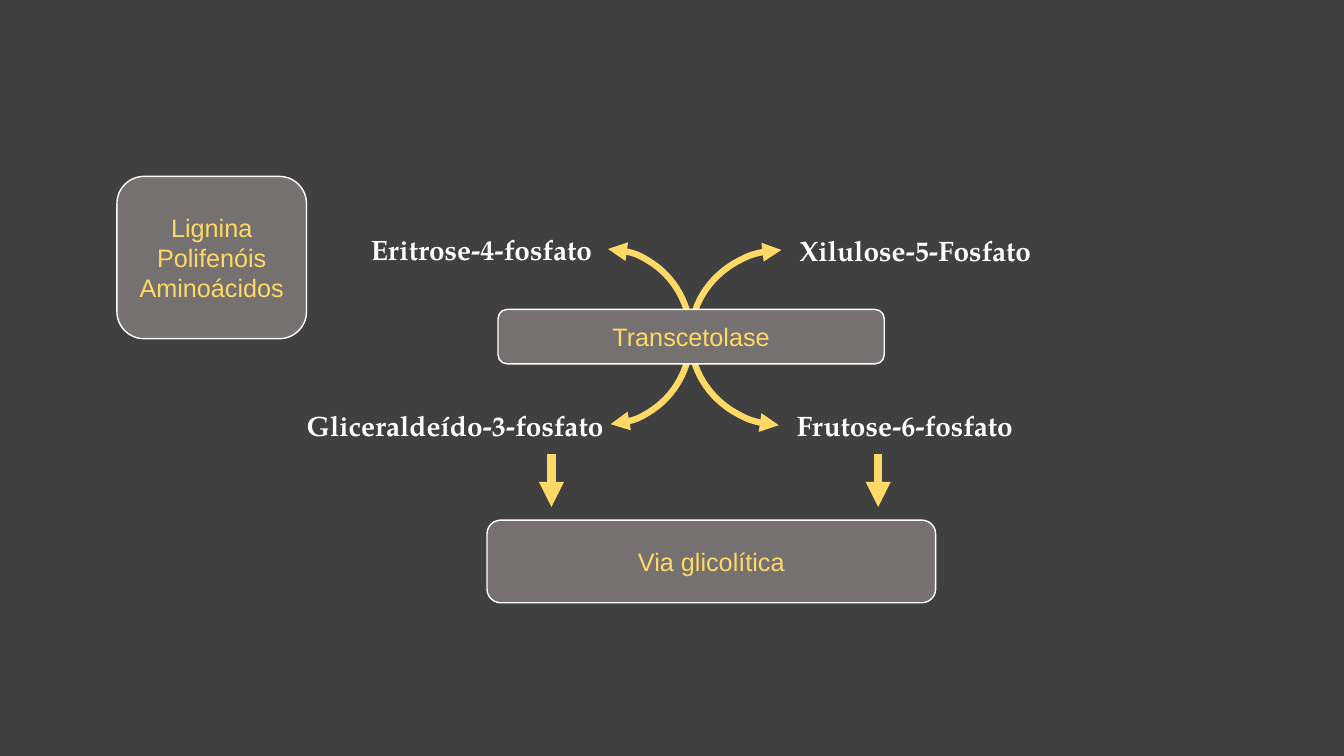
from lxml import etree
from pptx import Presentation
from pptx.dml.color import RGBColor
from pptx.enum.shapes import MSO_CONNECTOR as CONN, MSO_SHAPE as SHAPE
from pptx.enum.text import MSO_ANCHOR as ANCHOR, MSO_AUTO_SIZE as AUTO, PP_ALIGN as ALIGN
from pptx.oxml.ns import qn
from pptx.util import Inches, Pt

COLORS = {"bg": "404040", "box": "767171", "white": "FFFFFF", "gold": "FFD966"}
LABEL = {"name": "TeX Gyre Pagella", "size": Pt(20), "bold": True}
BOX = {"name": "Arial", "size": Pt(18), "bold": False}


def rgb(name):
    """Return the named palette colour."""
    return RGBColor.from_string(COLORS[name])


def write(tf, text, font, color):
    """Fill a text frame with centred paragraphs, one per line."""
    tf.word_wrap = True
    for i, line in enumerate(text.split("\n")):
        p = tf.add_paragraph() if i else tf.paragraphs[0]
        p.alignment = ALIGN.CENTER
        r = p.add_run()
        r.text = line
        for key, value in font.items():
            setattr(r.font, key, value)
        r.font.color.rgb = rgb(color)


def stroke(sp, color, width, ends=()):
    """Set the outline of a shape and add triangle arrowheads at its ends."""
    sp.line.color.rgb = rgb(color)
    sp.line.width = Pt(width)
    ln = sp.line._get_or_add_ln()
    for end in ends:
        etree.SubElement(ln, qn(f"a:{end}"), type="triangle")


def add_label(s, text, box):
    """Place the name of a metabolite."""
    sp = s.shapes.add_textbox(*map(Inches, box))
    write(sp.text_frame, text, LABEL, "white")
    sp.text_frame.auto_size = AUTO.SHAPE_TO_FIT_TEXT


def add_box(s, text, box):
    """Place a rounded box with gold text."""
    sp = s.shapes.add_shape(SHAPE.ROUNDED_RECTANGLE, *map(Inches, box))
    sp.shadow.inherit = False
    sp.fill.solid()
    sp.fill.fore_color.rgb = rgb("box")
    stroke(sp, "white", 1)
    sp.text_frame.vertical_anchor = ANCHOR.MIDDLE
    write(sp.text_frame, text, BOX, "gold")


def add_arc(s, box, mirrored):
    """Place a half-circle arrow, bulging right or, if mirrored, left."""
    sp = s.shapes.add_shape(SHAPE.ARC, *map(Inches, box))
    sp.shadow.inherit = False
    sp.adjustments[0], sp.adjustments[1] = 108.79, 214.2
    sp.rotation = 90
    if mirrored:
        sp._element.spPr.find(qn("a:xfrm")).set("flipV", "1")
    sp.fill.background()
    stroke(sp, "gold", 4.5, ("headEnd", "tailEnd"))


def add_down_arrow(s, x, y, length):
    """Place a thick arrow pointing down."""
    sp = s.shapes.add_connector(CONN.STRAIGHT, *map(Inches, (x, y, x, y + length)))
    stroke(sp, "gold", 6, ("tailEnd",))
    etree.SubElement(sp._element.spPr, qn("a:effectLst"))


def add_exchange(s, x, y):
    """Place the four sugars, the arcs between them and the enzyme."""
    add_arc(s, (x + 4.05, y + 0.17, 1.74, 1.84), True)
    add_arc(s, (x + 2.29, y + 0.24, 1.74, 1.68), False)
    for text, dx, dy, width in (
        ("Eritrose-4-fosfato", 0.64, 0, 2.57),
        ("Xilulose-5-Fosfato", 4.86, 0.01, 2.74),
        ("Gliceraldeído-3-fosfato", 0, 1.74, 3.33),
        ("Frutose-6-fosfato", 4.83, 1.74, 2.59),
    ):
        add_label(s, text, (x + dx, y + dy, width, 0.44))
    add_box(s, "Transcetolase", (x + 2.09, y + 0.81, 3.83, 0.54))


def add_glycolysis(s, x, y):
    """Place the arrows leading down to the glycolytic pathway box."""
    for dx in (0.64, 3.88):
        add_down_arrow(s, x + dx, y, 0.53)
    add_box(s, "Via glicolítica", (x, y + 0.66, 4.45, 0.82))


def main():
    """Build the slide and save it."""
    prs = Presentation()
    prs.slide_width, prs.slide_height = Inches(13.33), Inches(7.5)
    s = prs.slides.add_slide(prs.slide_layouts[6])
    s.background.fill.solid()
    s.background.fill.fore_color.rgb = rgb("bg")
    add_exchange(s, 2.85, 2.26)
    add_box(s, "Lignina\nPolifenóis\nAminoácidos", (1.16, 1.75, 1.88, 1.61))
    add_glycolysis(s, 4.83, 4.5)
    prs.save("out.pptx")


if __name__ == "__main__":
    main()
